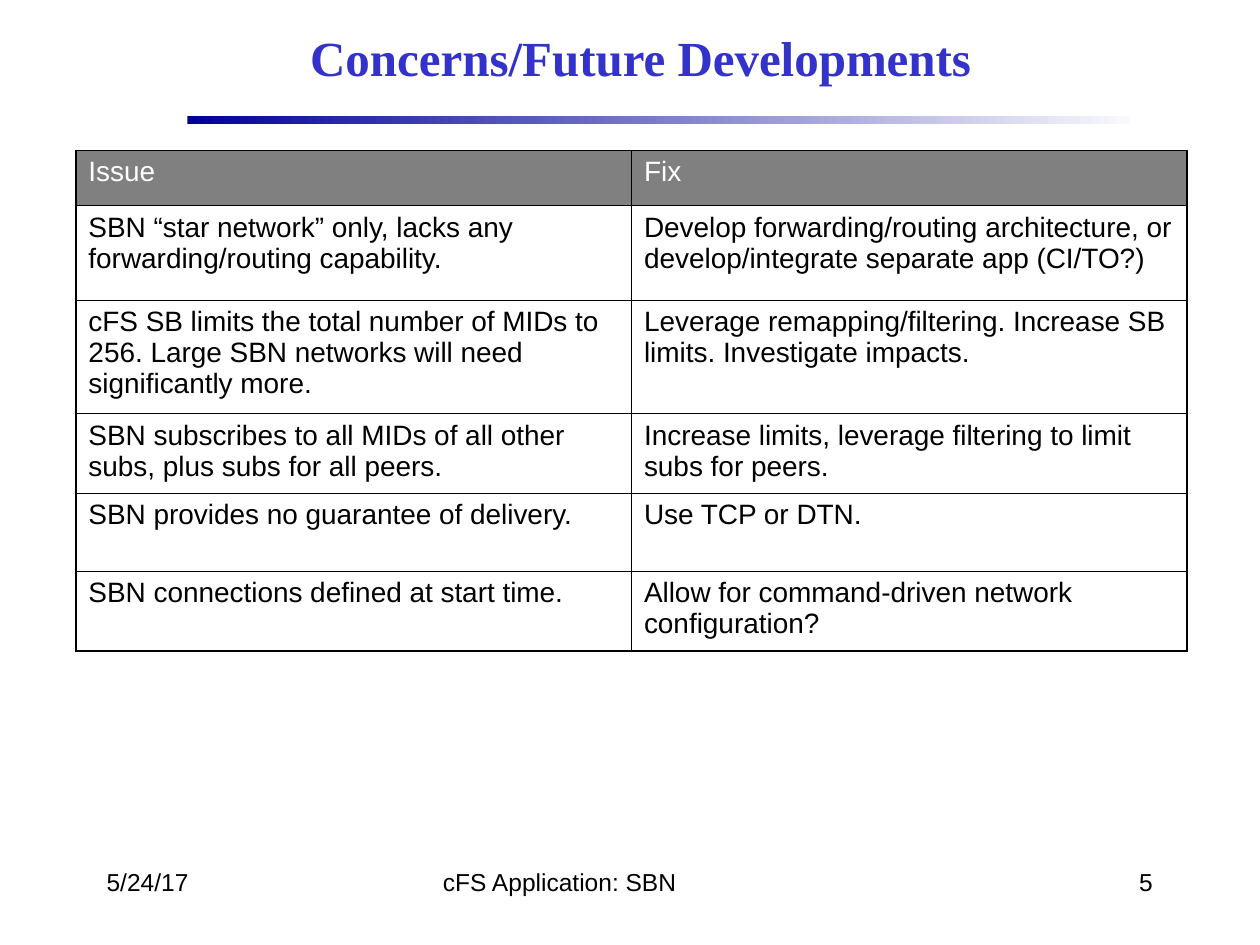
from lxml.etree import SubElement
from pptx import Presentation
from pptx.dml.color import RGBColor
from pptx.enum.shapes import MSO_SHAPE
from pptx.enum.text import MSO_ANCHOR, PP_ALIGN
from pptx.oxml.ns import qn
from pptx.util import Cm, Pt

COLORS = {
    "black": "000000", "white": "FFFFFF", "header": "808080",
    "title": "3333CC", "bar_start": "000099", "bar_end": "F9F9FD",
}


def rgb(name):
    return RGBColor.from_string(COLORS[name])


def write(frame, text, color="black", align=PP_ALIGN.LEFT, **font_format):
    frame.word_wrap = True
    para = frame.paragraphs[0]
    para.alignment = align
    span = para.add_run()
    span.text = text
    span.font.color.rgb = rgb(color)
    for name, value in {"name": "Arial", "size": Pt(16), **font_format}.items():
        setattr(span.font, name, value)


deck = Presentation()
deck.slide_width, deck.slide_height = Cm(25.4), Cm(19.05)
page = deck.slides.add_slide(deck.slide_layouts[6])

# Gradient bar under the title
bar = page.shapes.add_shape(MSO_SHAPE.RECTANGLE, Cm(3.78), Cm(2.33), Cm(19.02), Cm(0.18))
bar.shadow.inherit = False
bar.line.fill.background()
bar.fill.gradient()
bar.fill.gradient_angle = 0
for stop, color in zip(bar.fill.gradient_stops, ("bar_start", "bar_end")):
    stop.color.rgb = rgb(color)

# Title
title = page.shapes.add_textbox(Cm(3.81), Cm(0.2), Cm(18.21), Cm(1.9))
title.text_frame.vertical_anchor = MSO_ANCHOR.MIDDLE
write(title.text_frame, "Concerns/Future Developments", "title", PP_ALIGN.CENTER,
      name="Times New Roman", size=Pt(28), bold=True)

# Footer: date, name and page number
footers = [
    ("5/24/17", 1.9, 5.28, PP_ALIGN.LEFT),
    ("cFS Application: SBN", 8.68, 8.05, PP_ALIGN.LEFT),
    ("5", 18.21, 5.28, PP_ALIGN.RIGHT),
]
for text, left, width, align in footers:
    box = page.shapes.add_textbox(Cm(left), Cm(17.35), Cm(width), Cm(1.27))
    write(box.text_frame, text, align=align, size=Pt(14))

# Issues table: row height, issue, fix
issues = [
    (1.12, "Issue", "Fix"),
    (1.9, "SBN “star network” only, lacks any forwarding/routing capability.",
     "Develop forwarding/routing architecture, or develop/integrate separate app (CI/TO?)"),
    (2.13, "cFS SB limits the total number of MIDs to 256. Large SBN networks will need "
     "significantly more.",
     "Leverage remapping/filtering. Increase SB limits. Investigate impacts."),
    (1.52, "SBN subscribes to all MIDs of all other subs, plus subs for all peers.",
     "Increase limits, leverage filtering to limit subs for peers."),
    (1.57, "SBN provides no guarantee of delivery.", "Use TCP or DTN."),
    (1.51, "SBN connections defined at start time.",
     "Allow for command-driven network configuration?"),
]
table = page.shapes.add_table(len(issues), 2, Cm(1.53), Cm(3.03), Cm(22.4),
                              Cm(sum(issue[0] for issue in issues))).table
for column in table.columns:
    column.width = Cm(11.2)
for row, (height, *texts) in enumerate(issues):
    table.rows[row].height = Cm(height)
    for col, text in enumerate(texts):
        cell = table.cell(row, col)
        write(cell.text_frame, text, "white" if row == 0 else "black")
        # Outer edges are heavier than inner ones
        outer = {"lnL": col == 0, "lnR": col == 1,
                 "lnT": row == 0, "lnB": row == len(issues) - 1}
        props = cell._tc.get_or_add_tcPr()
        for edge, heavy in outer.items():
            line = SubElement(props, qn(f"a:{edge}"), w=str(Pt(1 if heavy else 0.5)))
            solid = SubElement(line, qn("a:solidFill"))
            SubElement(solid, qn("a:srgbClr"), val=COLORS["black"])
        cell.fill.solid()
        cell.fill.fore_color.rgb = rgb("header" if row == 0 else "white")

deck.save("out.pptx")
